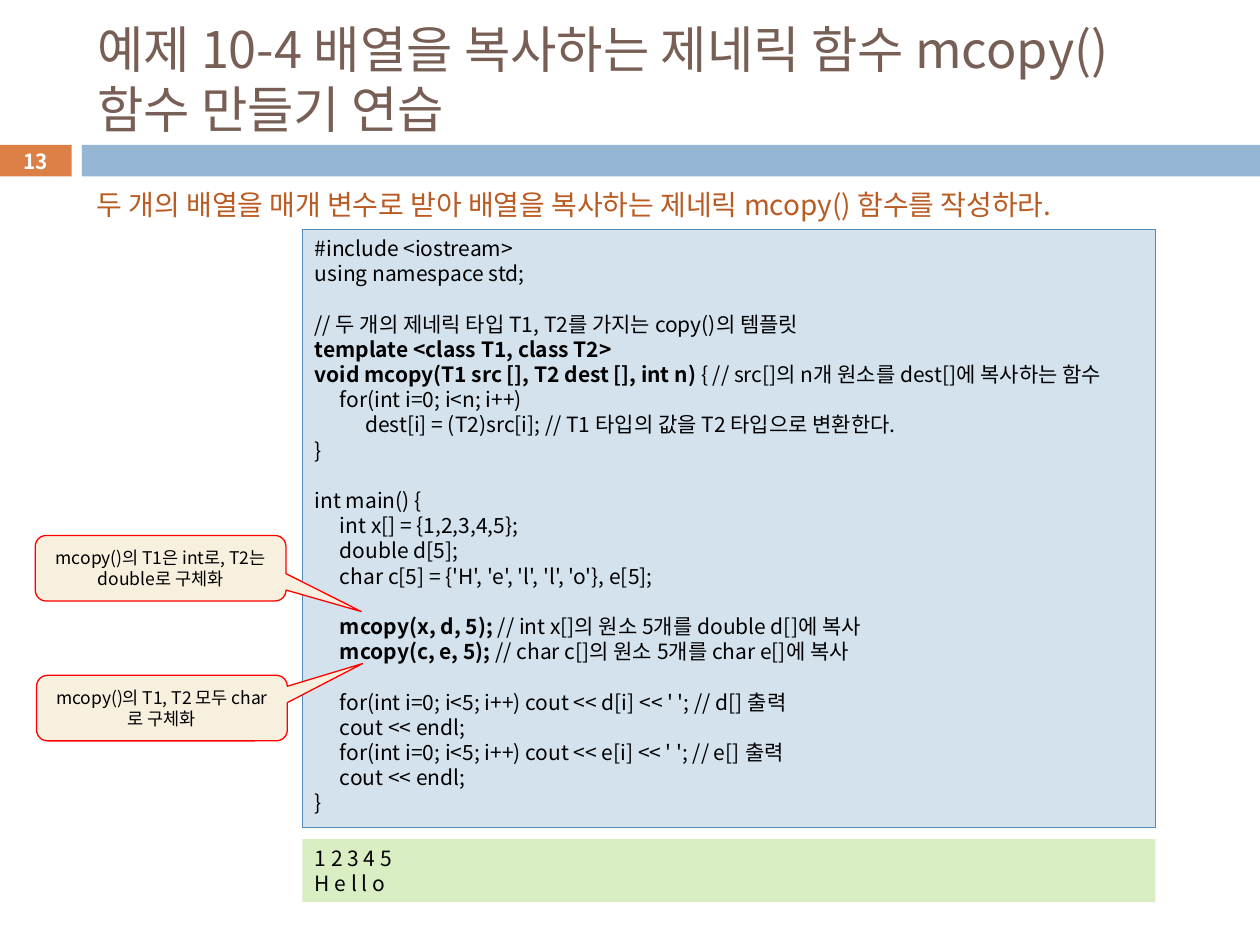
import pptx
import pptx.util
from lxml import etree
from pptx.dml.color import RGBColor
from pptx.enum.shapes import MSO_SHAPE
from pptx.enum.text import MSO_ANCHOR, PP_ALIGN
from pptx.oxml.ns import qn

WIDTH, HEIGHT = 10, 7.5
FONT = "Noto Sans CJK KR"
CODE_SIZE, CODE_LINE = 12, 14.4
TAB = 0.2

BLACK = RGBColor(0x00, 0x00, 0x00)
WHITE = RGBColor(0xFF, 0xFF, 0xFF)
BROWN = RGBColor(0x77, 0x5F, 0x55)
ORANGE = RGBColor(0xDD, 0x80, 0x47)
RUST = RGBColor(0xB9, 0x5B, 0x22)
BLUE = RGBColor(0x94, 0xB6, 0xD2)
PALE_BLUE = RGBColor(0xD4, 0xE2, 0xED)
EDGE_BLUE = RGBColor(0x55, 0x8B, 0xB8)
GREEN = RGBColor(0xDA, 0xEE, 0xC4)
CREAM = RGBColor(0xF7, 0xF0, 0xDE)
RED = RGBColor(0xFF, 0x00, 0x00)

# Shared columns and rows, in inches
CODE_LEFT, CODE_WIDTH = 2.4, 6.77
TEXT_LEFT = 0.67
BAND_TOP, BAND_HEIGHT = 1.15, 0.25

# Blocks of code lines; each line is a tuple of (text, bold) parts
CODE = [
    [[("#include <iostream>", False)],
     [("using namespace std;", False)]],
    [[("// 두 개의 제네릭 타입 T1, T2를 가지는 copy()의 템플릿", False)],
     [("template <class T1, class T2>", True)],
     [("void mcopy(T1 src [], T2 dest [], int n) ", True),
      ("{ // src[]의 n개 원소를 dest[]에 복사하는 함수", False)],
     [("\tfor(int i=0; i<n; i++)", False)],
     [("\t\tdest[i] = (T2)src[i]; // T1 타입의 값을 T2 타입으로 변환한다.", False)],
     [("}", False)]],
    [[("int main() {", False)],
     [("\tint x[] = {1,2,3,4,5};", False)],
     [("\tdouble d[5];", False)],
     [("\tchar c[5] = {'H', 'e', 'l', 'l', 'o'}, e[5];", False)]],
    [[("\tmcopy(x, d, 5); ", True), ("// int x[]의 원소 5개를 double d[]에 복사", False)],
     [("\tmcopy(c, e, 5); ", True), ("// char c[]의 원소 5개를 char e[]에 복사", False)]],
    [[("\tfor(int i=0; i<5; i++) cout << d[i] << ' '; // d[] 출력", False)],
     [("\tcout << endl;", False)],
     [("\tfor(int i=0; i<5; i++) cout << e[i] << ' '; // e[] 출력", False)],
     [("\tcout << endl;", False)],
     [("}", False)]],
]
OUTPUT = [[[("1 2 3 4 5", False)], [("H e l l o", False)]]]


def inches(*lengths):
    return [pptx.util.Inches(length) for length in lengths]


def format_paragraph(paragraph, size, color, align=PP_ALIGN.LEFT, bold=False):
    paragraph.alignment = align
    font = paragraph.font
    font.name, font.size, font.bold = FONT, pptx.util.Pt(size), bold
    font.color.rgb = color
    properties = paragraph._p.pPr.find(qn("a:defRPr"))
    etree.SubElement(properties, qn("a:ea"), typeface=FONT)


def add_tab_stops(paragraph):
    tabs = etree.SubElement(paragraph._p.get_or_add_pPr(), qn("a:tabLst"))
    for stop in (1, 2):
        etree.SubElement(tabs, qn("a:tab"), algn="l",
                         pos=str(pptx.util.Inches(stop * TAB)))


def add_box(slide, preset, box, fill, line=None):
    shape = slide.shapes.add_shape(preset, *inches(*box))
    shape.shadow.inherit = False
    shape.fill.solid()
    shape.fill.fore_color.rgb = fill
    if line is None:
        shape.line.fill.background()
    else:
        shape.line.color.rgb = line
        shape.line.width = pptx.util.Pt(0.75)
    return shape


def write_label(shape, text, size, color, bold=False):
    frame = shape.text_frame
    frame.word_wrap = True
    frame.vertical_anchor = MSO_ANCHOR.MIDDLE
    frame.text = text
    format_paragraph(frame.paragraphs[0], size, color, PP_ALIGN.CENTER, bold)


def add_listing(slide, top, height, blocks, fill, line=None):
    shape = add_box(slide, MSO_SHAPE.RECTANGLE,
                    (CODE_LEFT, top, CODE_WIDTH, height), fill, line)
    frame = shape.text_frame
    frame.word_wrap = True
    frame.vertical_anchor = MSO_ANCHOR.TOP
    paragraph = None
    for block in blocks:
        for row, parts in enumerate(block):
            first = paragraph is None
            paragraph = frame.paragraphs[0] if first else frame.add_paragraph()
            add_tab_stops(paragraph)
            if row == 0 and not first:
                paragraph.space_before = pptx.util.Pt(CODE_LINE)
            format_paragraph(paragraph, CODE_SIZE, BLACK)
            for text, bold in parts:
                run = paragraph.add_run()
                run.text = text
                run.font.bold = bold


def add_callout(slide, left, top, text, tip_y):
    shape = add_box(slide, MSO_SHAPE.ROUNDED_RECTANGULAR_CALLOUT,
                    (left, top, 1.99, 0.52), CREAM, RED)
    shape.adjustments[0] = 0.8
    shape.adjustments[1] = tip_y
    write_label(shape, text, 10, BLACK)


def add_header(slide):
    # Page number and band
    number = add_box(slide, MSO_SHAPE.RECTANGLE,
                     (0, BAND_TOP, 0.57, BAND_HEIGHT), ORANGE)
    write_label(number, "13", 11.9, WHITE, bold=True)
    add_box(slide, MSO_SHAPE.RECTANGLE,
            (0.65, BAND_TOP, WIDTH - 0.65, BAND_HEIGHT), BLUE)

    # Title
    title = slide.shapes.title
    title.left, title.top, title.width, title.height = inches(TEXT_LEFT, 0.25, 8.92, 0.74)
    title.text_frame.text = "예제 10-4 배열을 복사하는 제네릭 함수 mcopy() 함수 만들기 연습"
    title.text_frame.vertical_anchor = MSO_ANCHOR.MIDDLE
    format_paragraph(title.text_frame.paragraphs[0], 28.8, BROWN)

    # Task
    task = slide.shapes.add_textbox(*inches(TEXT_LEFT, 1.44, 8.62, 0.37))
    task.text_frame.word_wrap = False
    task.text_frame.text = "두 개의 배열을 매개 변수로 받아 배열을 복사하는 제네릭 mcopy() 함수를 작성하라."
    format_paragraph(task.text_frame.paragraphs[0], 16, RUST)


def main():
    presentation = pptx.Presentation()
    presentation.slide_width, presentation.slide_height = inches(WIDTH, HEIGHT)
    slide = presentation.slides.add_slide(presentation.slide_layouts[5])

    add_header(slide)

    # Program and its output
    add_listing(slide, 1.82, 4.75, CODE, PALE_BLUE, EDGE_BLUE)
    add_listing(slide, 6.66, 0.5, OUTPUT, GREEN)

    # Notes on the two calls
    add_callout(slide, 0.28, 4.25, "mcopy()의 T1은 int로, T2는 double로 구체화", 0.66)
    add_callout(slide, 0.29, 5.36, "mcopy()의 T1, T2 모두 char로 구체화", -0.68)

    presentation.save("out.pptx")


if __name__ == "__main__":
    main()
